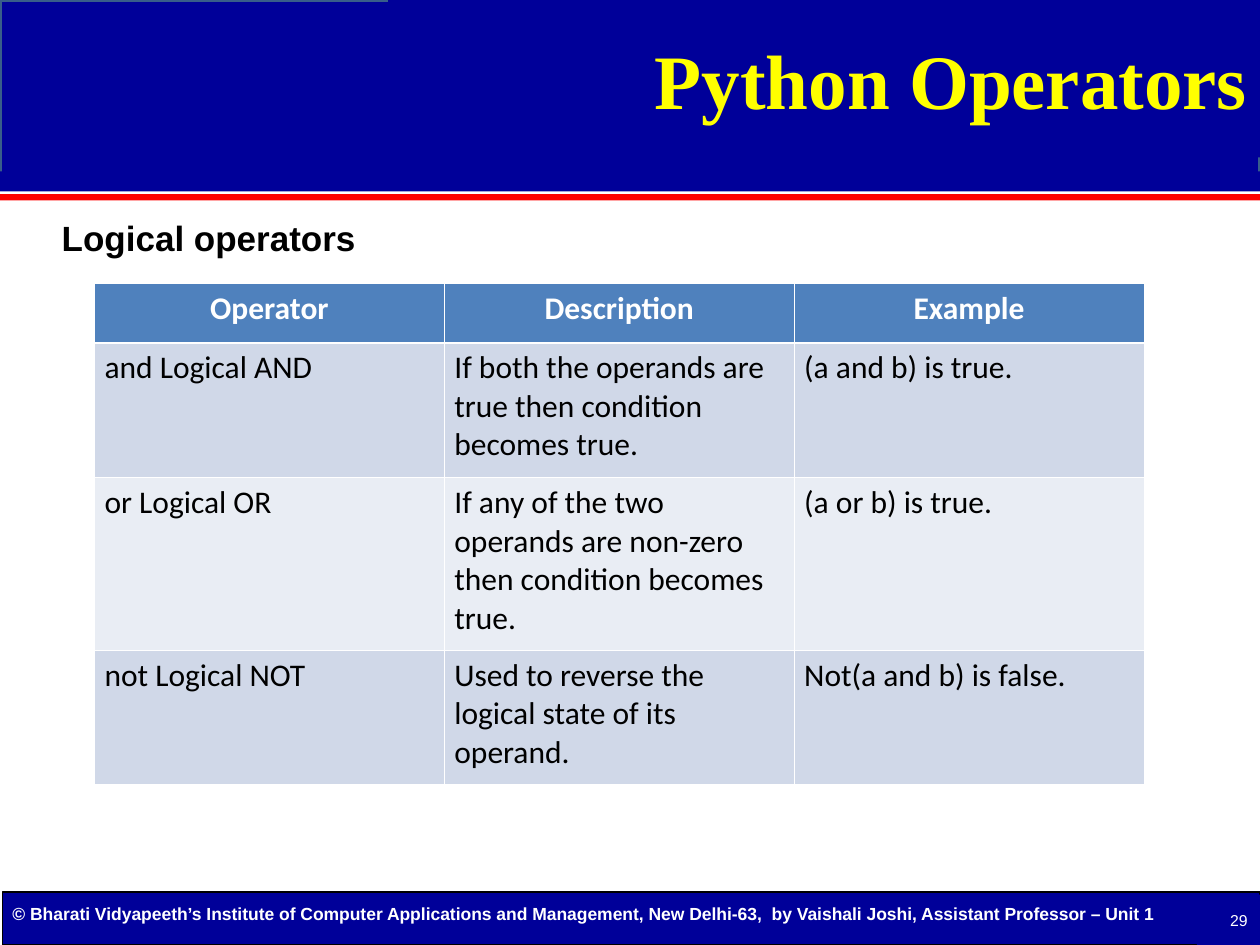
"""Build the Python Operators slide with its table of logical operators."""
import pptx
import pptx.dml.color
import pptx.enum.shapes
import pptx.enum.text
import pptx.oxml
import pptx.oxml.ns
import pptx.util
from pptx.util import Inches

COLORS = {
    "navy": "000099",
    "red": "FF0000",
    "yellow": "FFFF00",
    "white": "FFFFFF",
    "black": "000000",
    "frame": "385D8A",
    "header": "4F81BD",
    "odd": "D0D8E8",
    "even": "E9EDF4",
}
ALIGN = pptx.enum.text.PP_ALIGN
ANCHOR = pptx.enum.text.MSO_ANCHOR
FOOTER = (
    "© Bharati Vidyapeeth’s Institute of Computer Applications and Management, "
    "New Delhi-63,  by Vaishali Joshi, Assistant Professor – Unit 1"
)
OPERATORS = [
    ("Operator", "Description", "Example"),
    ("and Logical AND", "If both the operands are true then condition becomes true.",
     "(a and b) is true."),
    ("or Logical OR", "If any of the two operands are non-zero then condition becomes true.",
     "(a or b) is true."),
    ("not Logical NOT", "Used to reverse the logical state of its operand.",
     "Not(a and b) is false."),
]
ROW_HEIGHTS = [0.47, 1.07, 1.37, 1.07]


def rgb(name):
    """Return the named colour."""
    return pptx.dml.color.RGBColor.from_string(COLORS[name])


def add_bar(page, left, top, width, height, fill, line=None, weight=0.75):
    """Add a filled rectangle, outlined if a line colour is given."""
    bar = page.shapes.add_shape(
        pptx.enum.shapes.MSO_SHAPE.RECTANGLE,
        Inches(left), Inches(top), Inches(width), Inches(height))
    bar.shadow.inherit = False
    bar.fill.solid()
    bar.fill.fore_color.rgb = rgb(fill)
    if line:
        bar.line.color.rgb = rgb(line)
        bar.line.width = pptx.util.Pt(weight)
    else:
        bar.line.fill.background()
    return bar


def add_box(page, left, top, width, height):
    """Add an empty text box."""
    return page.shapes.add_textbox(
        Inches(left), Inches(top), Inches(width), Inches(height))


def write(frame, text, size, font, color, bold=False, align=ALIGN.LEFT):
    """Write one run into the first paragraph of a text frame."""
    frame.word_wrap = True
    para = frame.paragraphs[0]
    para.alignment = align
    span = para.add_run()
    span.text = text
    span.font.size = pptx.util.Pt(size)
    span.font.name = font
    span.font.bold = bold
    span.font.color.rgb = rgb(color)


def set_border(cell, side, weight):
    """Give one side of a cell a white border."""
    border = pptx.oxml.parse_xml(
        f'<a:ln{side} {pptx.oxml.ns.nsdecls("a")} w="{pptx.util.Pt(weight)}">'
        f'<a:solidFill><a:srgbClr val="{COLORS["white"]}"/></a:solidFill></a:ln{side}>')
    cell._tc.get_or_add_tcPr().append(border)


def fill_cell(cell, text, row):
    """Style and fill a cell according to its row."""
    heavy_side = {0: "B", 1: "T"}.get(row)
    for side in "LRTB":
        set_border(cell, side, 1.47 if side == heavy_side else 0.45)
    is_header = row == 0
    cell.fill.solid()
    cell.fill.fore_color.rgb = rgb("header" if is_header else "odd" if row % 2 else "even")
    cell.margin_left = cell.margin_right = Inches(0.08)
    write(cell.text_frame, text, 18, "Calibri", "white" if is_header else "black",
          is_header, ALIGN.CENTER if is_header else ALIGN.LEFT)


def add_operator_table(page):
    """Add the table of logical operators."""
    table = page.shapes.add_table(
        len(OPERATORS), len(OPERATORS[0]), Inches(0.75), Inches(2.25),
        Inches(8.33), Inches(sum(ROW_HEIGHTS))).table
    for row, (texts, height) in enumerate(zip(OPERATORS, ROW_HEIGHTS)):
        table.rows[row].height = Inches(height)
        for column, text in enumerate(texts):
            fill_cell(table.cell(row, column), text, row)


def add_header(page):
    """Add the title band and the rule below it."""
    add_bar(page, 0, 0, 10, 1.42, "navy", "frame", 2)
    add_bar(page, 0, 1.36, 10, 0.16, "navy")
    add_bar(page, 0, 1.54, 10, 0.05, "red")
    title = add_bar(page, 3.08, 0, 6.92, 1.25, "navy")
    title.text_frame.vertical_anchor = ANCHOR.MIDDLE
    write(title.text_frame, "Python Operators", 44, "Times New Roman", "yellow",
          True, ALIGN.RIGHT)


def add_footer(page):
    """Add the footer band with its copyright line and page number."""
    add_bar(page, 0.02, 7.08, 9.98, 0.42, "navy", "black")
    credit = add_box(page, 0, 7.11, 9.42, 0.27)
    credit.text_frame.vertical_anchor = ANCHOR.BOTTOM
    write(credit.text_frame, FOOTER, 10, "Arial", "white", True)
    number = add_bar(page, 9.5, 7.1, 0.5, 0.4, "navy")
    number.text_frame.vertical_anchor = ANCHOR.MIDDLE
    write(number.text_frame, "29", 9, "Arial", "white", align=ALIGN.RIGHT)


def main():
    """Build and save the deck."""
    deck = pptx.Presentation()
    deck.slide_width, deck.slide_height = Inches(10), Inches(7.5)
    page = deck.slides.add_slide(deck.slide_layouts[6])
    add_header(page)
    add_footer(page)
    subtitle = add_box(page, 0.33, 1.67, 9.33, 5.17)
    write(subtitle.text_frame, "Logical operators", 20, "Arial", "black", True)
    subtitle.text_frame.margin_left = Inches(0.16)
    add_operator_table(page)
    deck.save("out.pptx")


if __name__ == "__main__":
    main()
